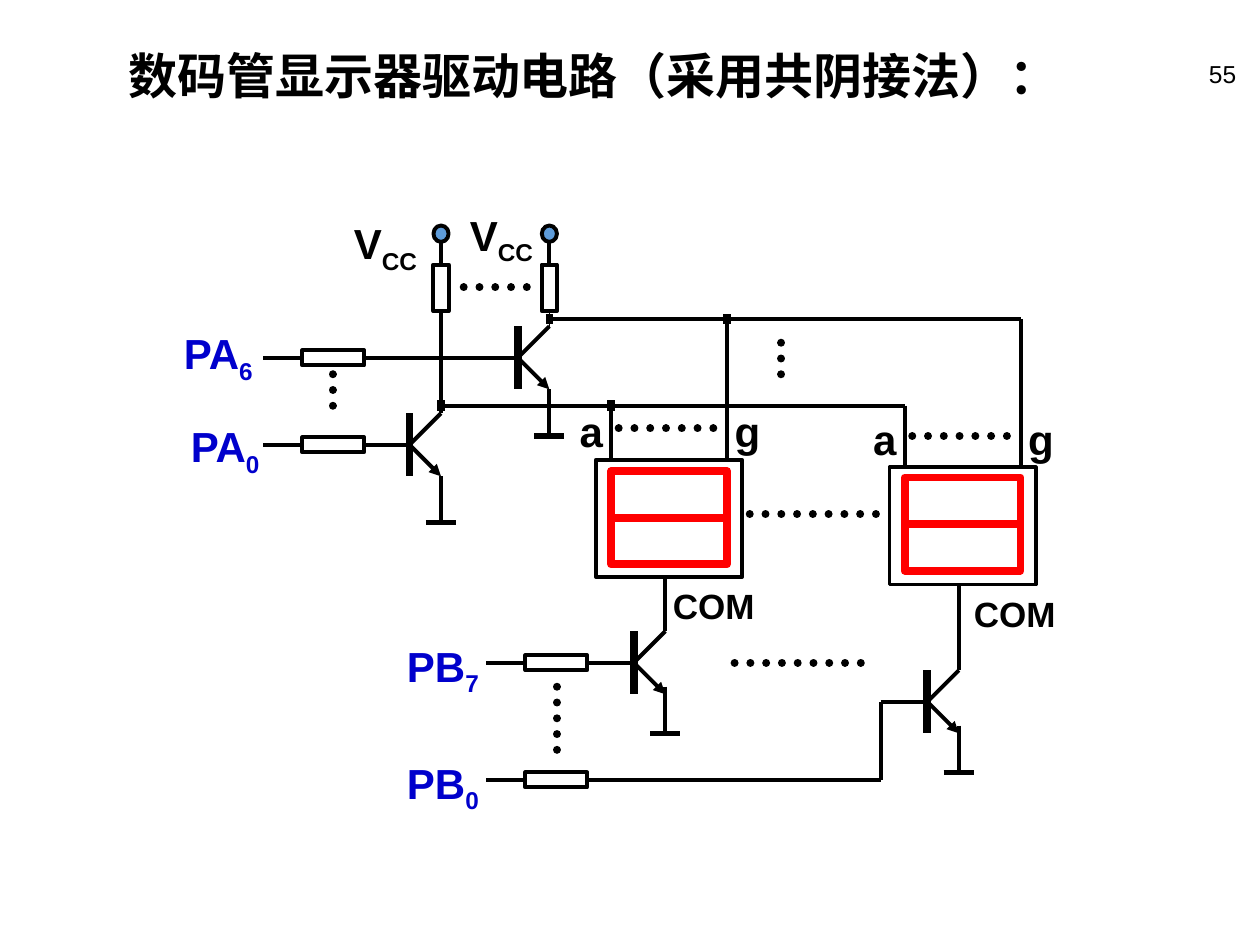
"""Build the slide on the common-cathode LED display driver circuit."""
from lxml import etree
from pptx import Presentation
from pptx.dml.color import RGBColor
from pptx.enum.shapes import MSO_CONNECTOR, MSO_SHAPE
from pptx.enum.text import MSO_ANCHOR, PP_ALIGN
from pptx.oxml.ns import qn
from pptx.util import Inches, Pt

RECT, OVAL = MSO_SHAPE.RECTANGLE, MSO_SHAPE.OVAL
STRAIGHT = MSO_CONNECTOR.STRAIGHT
LEFT, RIGHT = PP_ALIGN.LEFT, PP_ALIGN.RIGHT
TOP = MSO_ANCHOR.TOP
BLACK, RED, BLUE, TERMINAL = "000000", "FF0000", "0000CC", "5E9CDA"
TOP_SIDE, LEFT_SIDE, BOTTOM_SIDE, RIGHT_SIDE = range(4)


def color(value):
    return RGBColor.from_string(value)


class Circuit:
    """Holds the drawing style and the slide being drawn on."""

    font = "Arial"
    wire_width = 2.25
    dot_width = 4.5

    def __init__(self, slide):
        self.slide = slide

    def title(self, text):
        heading = self.slide.shapes.title
        heading.left, heading.top = Inches(0.92), Inches(0.31)
        heading.width, heading.height = Inches(8.58), Inches(0.57)
        frame = heading.text_frame
        frame.text = text
        frame.vertical_anchor = TOP
        frame.paragraphs[0].alignment = LEFT
        font = frame.paragraphs[0].runs[0].font
        font.name, font.size, font.bold = "Times New Roman", Pt(28), True
        font.color.rgb = color(BLACK)

    def label(self, text, at, size=24, hue=BLACK, align=LEFT, sub="", bold=True, inset=0.0):
        box = self.slide.shapes.add_textbox(*map(Inches, at))
        frame = box.text_frame
        frame.word_wrap = True
        frame.margin_left = frame.margin_right = Inches(inset)
        frame.margin_top = frame.margin_bottom = Inches(inset / 2)
        paragraph = frame.paragraphs[0]
        paragraph.text = text
        paragraph.alignment = align
        if sub:
            subscript = paragraph.add_run()
            subscript.text = sub
            subscript.font._element.set("baseline", "-25000")
        for run in paragraph.runs:
            run.font.name, run.font.size, run.font.bold = self.font, Pt(size), bold
            run.font.color.rgb = color(hue)

    def outline(self, kind, at, fill=None, hue=BLACK, width=wire_width):
        shape = self.slide.shapes.add_shape(kind, *map(Inches, at))
        shape.shadow.inherit = False
        if fill:
            shape.fill.solid()
            shape.fill.fore_color.rgb = color(fill)
        else:
            shape.fill.background()
        shape.line.color.rgb = color(hue)
        shape.line.width = Pt(width)
        return shape

    def wire(self, start, end, width=wire_width, begin=None, finish=None):
        line = self.slide.shapes.add_connector(STRAIGHT, *map(Inches, (*start, *end)))
        line.line.color.rgb = color(BLACK)
        line.line.width = Pt(width)
        etree.SubElement(line._element.spPr, qn("a:effectLst"))
        if begin:
            line.begin_connect(*begin)
        if finish:
            line.end_connect(*finish)
        return line

    def dots(self, start, end):
        line = self.wire(start, end, self.dot_width).line._get_or_add_ln()
        line.set("cap", "rnd")
        etree.SubElement(line, qn("a:prstDash")).set("val", "sysDot")

    def junction(self, x, y):
        self.wire((x - 0.03, y), (x + 0.03, y), 6)

    def transistor(self, x, y, lead=0.25):
        collector, ground = x + 0.25, y + lead + 0.37
        self.wire((x, y - 0.25), (x, y + 0.25), 4.5)
        self.wire((collector, y - 0.25), (x, y))
        emitter = self.wire((x, y), (collector, y + 0.25))
        etree.SubElement(emitter.line._get_or_add_ln(), qn("a:tailEnd")).set("type", "triangle")
        self.wire((collector, y + lead), (collector, ground))
        self.wire((collector - 0.12, ground), (collector + 0.12, ground), 3)

    def input(self, x, y, target):
        resistor = self.outline(RECT, (x, y - 0.06, 0.49, 0.12))
        self.wire((x, y), (x - 0.31, y), begin=(resistor, LEFT_SIDE))
        self.wire((x + 0.49, y), (target, y), begin=(resistor, RIGHT_SIDE))

    def supply(self, x, bottom, width):
        resistor = self.outline(RECT, (x - 0.06, 2.1, 0.12, 0.37))
        self.outline(OVAL, (x - 0.06, 1.79, 0.12, 0.13), fill=TERMINAL)
        self.wire((x, 1.91), (x, 2.1), finish=(resistor, TOP_SIDE))
        self.wire((x, 2.47), (x, bottom), width, begin=(resistor, BOTTOM_SIDE))

    def display(self, x, top, first_segment, com):
        a, g, bottom = x + 0.12, x + 1.04, top + 0.93
        self.outline(RECT, (x, top, 1.16, 0.93))
        for row in range(2):
            segment = (a, first_segment + row * 0.37, 0.92, 0.37)
            self.outline(RECT, segment, hue=RED, width=4.5)
        self.wire((a, 3.22), (a, top))
        self.wire((g, 2.53), (g, top))
        self.dots((a + 0.06, top - 0.25), (g, top - 0.25))
        self.label("a", (x - 0.13, top - 0.43, 0.18, 0.4))
        self.label("g", (g + 0.06, top - 0.43, 0.18, 0.4))
        self.wire((x + 0.55, com), (x + 0.55, bottom))


def main():
    prs = Presentation()
    prs.slide_width, prs.slide_height = Inches(10), Inches(7.5)
    circuit = Circuit(prs.slides.add_slide(prs.slide_layouts[5]))
    circuit.title("数码管显示器驱动电路（采用共阴接法）：")
    circuit.label("55", (7.83, 0.42, 2.08, 0.5), 14, align=RIGHT, bold=False, inset=0.1)

    for x, y, lead in ((3.25, 3.53, 0.25), (4.11, 2.84, 0.25), (5.03, 5.26, 0.19), (7.36, 5.57, 0.19)):
        circuit.transistor(x, y, lead)
    for x, y, target in ((2.4, 2.84, 4.11), (2.4, 3.53, 3.25), (4.17, 5.26, 5.03), (4.17, 6.19, 6.99)):
        circuit.input(x, y, target)
    circuit.supply(3.5, 3.28, 2.25)
    circuit.supply(4.36, 2.6, 0.75)
    circuit.display(4.73, 3.65, 3.74, 5.01)
    circuit.display(7.06, 3.71, 3.79, 5.32)

    for start, end in (
        ((3.5, 3.22), (7.18, 3.22)),
        ((4.36, 2.53), (8.1, 2.53)),
        ((6.99, 6.19), (6.99, 5.57)),
        ((6.99, 5.57), (7.36, 5.57)),
    ):
        circuit.wire(start, end)
    for x, y in ((3.5, 3.22), (4.85, 3.22), (4.36, 2.53), (5.77, 2.53)):
        circuit.junction(x, y)
    for start, end in (
        ((5.95, 4.08), (7.06, 4.08)),
        ((5.83, 5.26), (6.93, 5.26)),
        ((4.42, 5.45), (4.42, 6.07)),
        ((2.64, 2.97), (2.64, 3.34)),
        ((3.68, 2.28), (4.23, 2.28)),
        ((6.2, 2.72), (6.2, 3.09)),
    ):
        circuit.dots(start, end)

    for x, y in ((5.34, 4.64), (7.73, 4.7)):
        circuit.label("COM", (x, y, 0.74, 0.33), 20)
    for port, bit, x, y, width, hue, align in (
        ("PA", "6", 1.46, 2.6, 0.69, BLUE, LEFT),
        ("PA", "0", 1.33, 3.34, 0.73, BLUE, RIGHT),
        ("PB", "7", 3.11, 5.08, 0.69, BLUE, RIGHT),
        ("PB", "0", 3.11, 6.01, 0.69, BLUE, RIGHT),
        ("V", "CC", 2.56, 1.73, 0.75, BLACK, RIGHT),
        ("V", "CC", 3.58, 1.66, 0.65, BLACK, RIGHT),
    ):
        circuit.label(port, (x, y, width, 0.46), hue=hue, align=align, sub=bit)
    prs.save("out.pptx")


if __name__ == "__main__":
    main()
